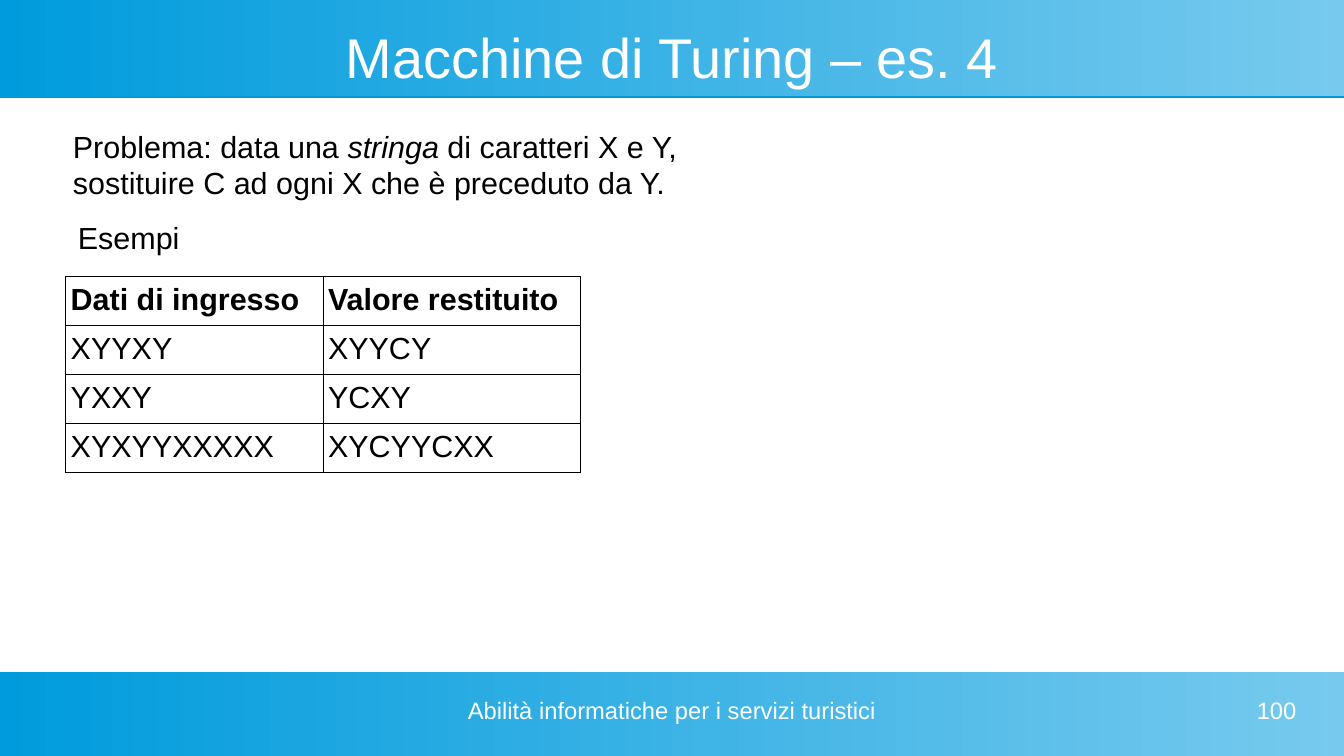
"""Builds the exercise slide on Turing machines."""
from lxml import etree
from pptx import Presentation
from pptx.dml.color import RGBColor
from pptx.enum.shapes import MSO_SHAPE
from pptx.enum.text import MSO_ANCHOR, PP_ALIGN
from pptx.oxml import parse_xml
from pptx.oxml.ns import qn
from pptx.util import Inches, Pt

RECTANGLE = MSO_SHAPE.RECTANGLE
TOP, MIDDLE = MSO_ANCHOR.TOP, MSO_ANCHOR.MIDDLE
LEFT, CENTER, RIGHT = PP_ALIGN.LEFT, PP_ALIGN.CENTER, PP_ALIGN.RIGHT
DRAWING = "http://schemas.openxmlformats.org/drawingml/2006/main"
COLORS = {"deep": "009BDD", "light": "77CAEE", "text": "000000", "white": "FFFFFF"}
WIDTH, HEIGHT = 11.02, 6.2
EXAMPLES = [
    ("Dati di ingresso", "Valore restituito"),
    ("XYYXY", "XYYCY"),
    ("YXXY", "YCXY"),
    ("XYXYYXXXXX", "XYCYYCXX"),
]


class Page:
    """Holds the style and the current slide."""

    def __init__(self, slide, font="Arial"):
        self.slide = slide
        self.font = font

    def add_span(self, para, text, size=18, color="text", bold=False, italic=False):
        """Adds a formatted span of text to a paragraph."""
        span = para.add_run()
        span.text = text
        span.font.name = self.font
        span.font.size = Pt(size)
        span.font.bold = bold
        span.font.italic = italic
        span.font.color.rgb = RGBColor.from_string(COLORS[color])

    def band(self, top, height):
        """Adds a full-width gradient band with a thin shadow below."""
        band = self.slide.shapes.add_shape(
            RECTANGLE, 0, Inches(top), Inches(WIDTH), Inches(height))
        band.line.fill.background()
        band.fill.gradient()
        band.fill.gradient_angle = 0
        for stop, color in zip(band.fill.gradient_stops, ("deep", "light")):
            stop.color.rgb = RGBColor.from_string(COLORS[color])
        band.shadow.inherit = False
        effects = band._element.spPr.find(qn("a:effectLst"))
        effects.append(parse_xml(
            f'<a:outerShdw xmlns:a="{DRAWING}" blurRad="0" dist="{Pt(0.9)}" '
            f'dir="5400000" rotWithShape="0"><a:srgbClr val="{COLORS["deep"]}"/>'
            '</a:outerShdw>'))

    def text(self, left, top, width, height, lines, inset=(0, 0),
             align=LEFT, anchor=TOP, **style):
        """Adds a text box; each line is a list of (text, italic) spans."""
        box = self.slide.shapes.add_textbox(
            Inches(left), Inches(top), Inches(width), Inches(height))
        frame = box.text_frame
        frame.word_wrap = True
        frame.vertical_anchor = anchor
        frame.margin_left = frame.margin_right = Inches(inset[0])
        frame.margin_top = frame.margin_bottom = Inches(inset[1])
        for index, spans in enumerate(lines):
            para = frame.add_paragraph() if index else frame.paragraphs[0]
            para.alignment = align
            for text, italic in spans:
                self.add_span(para, text, italic=italic, **style)

    def border(self, cell, width=0.57):
        """Draws a thin line on all four sides of a cell."""
        properties = cell._tc.get_or_add_tcPr()
        for index, side in enumerate(("lnL", "lnR", "lnT", "lnB")):
            line = etree.Element(qn(f"a:{side}"), w=str(Pt(width)))
            fill = etree.SubElement(line, qn("a:solidFill"))
            etree.SubElement(fill, qn("a:srgbClr"), val=COLORS["text"])
            properties.insert(index, line)

    def table(self, left, top, column_width, row_height, rows):
        """Adds a bordered table with a bold first row."""
        table = self.slide.shapes.add_table(
            len(rows), len(rows[0]), Inches(left), Inches(top),
            Inches(column_width * len(rows[0])),
            Inches(row_height * len(rows))).table
        table.first_row = table.horz_banding = False
        for column in table.columns:
            column.width = Inches(column_width)
        for row_index, values in enumerate(rows):
            table.rows[row_index].height = Inches(row_height)
            for column_index, value in enumerate(values):
                cell = table.cell(row_index, column_index)
                cell.margin_left = cell.margin_right = Inches(0.04)
                cell.margin_top = cell.margin_bottom = Inches(0.05)
                cell.fill.background()
                self.border(cell)
                self.add_span(cell.text_frame.paragraphs[0], value,
                              bold=row_index == 0)


def main():
    """Builds and saves the deck."""
    deck = Presentation()
    deck.slide_width, deck.slide_height = Inches(WIDTH), Inches(HEIGHT)
    page = Page(deck.slides.add_slide(deck.slide_layouts[6]))

    page.band(0, 0.79)
    page.band(5.51, 0.69)
    page.text(0.39, 0.2, 10.24, 0.52, [[("Macchine di Turing – es. 4", False)]],
              align=CENTER, anchor=MIDDLE, size=33, color="white")

    padding = (0.1, 0.05)
    page.text(0.5, 1, 7, 0.66, [
        [("Problema: data una ", False), ("stringa", True),
         (" di caratteri X e Y,", False)],
        [("sostituire C ad ogni X che è preceduto da Y.", False)],
    ], inset=padding)
    page.table(0.54, 2.27, 2.11, 0.4, EXAMPLES)
    page.text(0.54, 1.75, 1.75, 0.5, [[("Esempi", False)]], inset=padding)

    footer = {"size": 14, "color": "white"}
    page.text(3.74, 5.71, 3.54, 0.39,
              [[("Abilità informatiche per i servizi turistici", False)]],
              align=CENTER, **footer)
    page.text(8.07, 5.71, 2.56, 0.39, [[("100", False)]], align=RIGHT, **footer)
    deck.save("out.pptx")


if __name__ == "__main__":
    main()
